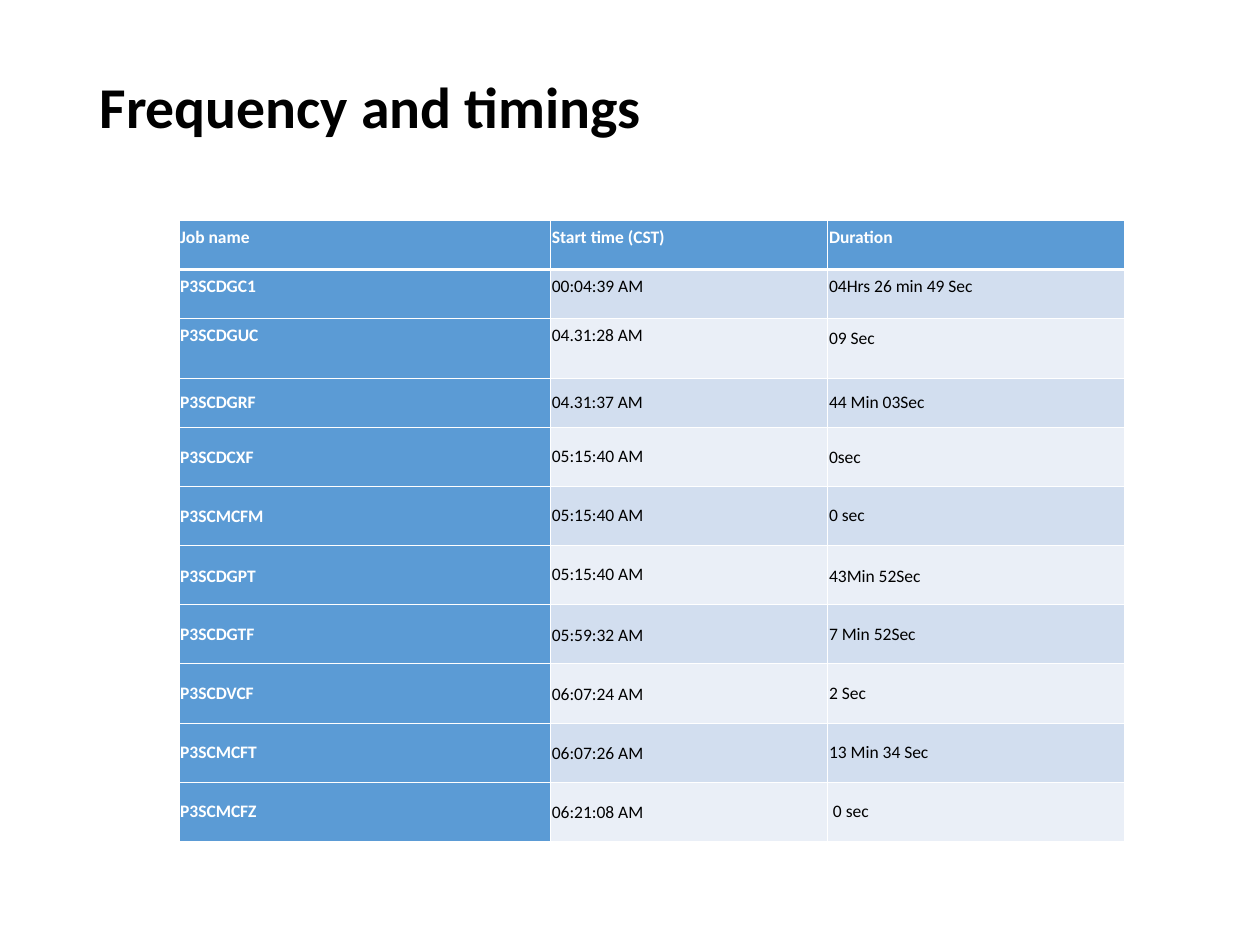
from dataclasses import dataclass

from lxml.etree import SubElement
from pptx import Presentation
from pptx.dml.color import RGBColor as Color
from pptx.enum.text import MSO_ANCHOR as Anchor, PP_ALIGN as Align
from pptx.oxml.ns import qn
from pptx.util import Inches, Pt


@dataclass(frozen=True)
class Theme:
    font: str = "Calibri"
    dark: str = "000000"
    light: str = "FFFFFF"
    accent: str = "5B9BD5"
    bands: tuple = ("EAEFF7", "D2DEEF")
    title_size: float = 33
    cell_size: float = 10
    space_size: float = 12
    thin_line: float = 0.45
    thick_line: float = 1.47


THEME = Theme()
TITLE = "Frequency and timings"
ROWS = [
    ("Job name", "Start time (CST)", "Duration"),
    ("P3SCDGC1", "00:04:39 AM", "04Hrs 26 min 49 Sec"),
    ("P3SCDGUC", "04.31:28 AM", "09 Sec "),
    ("P3SCDGRF", "04.31:37 AM", "44 Min 03Sec"),
    ("P3SCDCXF ", "05:15:40 AM", "0sec "),
    ("P3SCMCFM ", "05:15:40 AM", "0 sec"),
    ("P3SCDGPT ", "05:15:40 AM", "43Min 52Sec "),
    ("P3SCDGTF", "05:59:32 AM ", "7 Min 52Sec"),
    ("P3SCDVCF", "06:07:24 AM ", "2 Sec"),
    ("P3SCMCFT", "06:07:26 AM ", "13 Min 34 Sec"),
    ("P3SCMCFZ", "06:21:08 AM ", " 0 sec"),
]
COLUMN_WIDTHS = (2.95, 2.2, 2.35)
SHORT_ROWS = (0, 1, 3)
SHORT_HEIGHT, TALL_HEIGHT = 0.39, 0.47
TOP_ANCHORED_ROWS = 3


def add_title(slide):
    title = slide.shapes.title
    title.left, title.top = Inches(0.69), Inches(0.4)
    title.width, title.height = Inches(8.63), Inches(1.45)
    frame = title.text_frame
    frame.text = TITLE
    frame.vertical_anchor = Anchor.MIDDLE
    frame.margin_bottom = Inches(0.55)
    paragraph = frame.paragraphs[0]
    paragraph.alignment = Align.LEFT
    paragraph.line_spacing = 0.9
    style_font(paragraph.font, THEME.title_size, THEME.dark, True)


def style_font(font, size, color, bold):
    font.name, font.size, font.bold = THEME.font, Pt(size), bold
    font.color.rgb = Color.from_string(color)


def add_borders(cell, row):
    properties = cell._tc.get_or_add_tcPr()
    thick_side = {0: "lnB", 1: "lnT"}.get(row)
    for side in ("lnL", "lnR", "lnT", "lnB"):
        width = THEME.thick_line if side == thick_side else THEME.thin_line
        line = SubElement(properties, qn(f"a:{side}"), w=str(Pt(width)))
        fill = SubElement(line, qn("a:solidFill"))
        SubElement(fill, qn("a:srgbClr"), val=THEME.light)


def format_cell(cell, text, row, column):
    heading = row == 0 or column == 0
    add_borders(cell, row)
    cell.fill.solid()
    cell.fill.fore_color.rgb = Color.from_string(THEME.accent if heading else THEME.bands[row % 2])
    cell.margin_left = cell.margin_right = Inches(0.01)
    cell.margin_top = cell.margin_bottom = Inches(0.05)
    cell.vertical_anchor = Anchor.TOP if row < TOP_ANCHORED_ROWS else Anchor.MIDDLE
    paragraph = cell.text_frame.paragraphs[0]
    color = THEME.light if heading else THEME.dark
    label = text.rstrip()
    for part, size in ((label, THEME.cell_size), (text[len(label):], THEME.space_size)):
        if part:
            run = paragraph.add_run()
            run.text = part
            style_font(run.font, size, color, heading)


def add_job_table(slide):
    heights = [SHORT_HEIGHT if row in SHORT_ROWS else TALL_HEIGHT for row in range(len(ROWS))]
    table = slide.shapes.add_table(
        len(ROWS), len(COLUMN_WIDTHS), Inches(1.42), Inches(1.75),
        Inches(sum(COLUMN_WIDTHS)), Inches(sum(heights)),
    ).table
    for column, width in zip(table.columns, COLUMN_WIDTHS):
        column.width = Inches(width)
    for row, (texts, height) in enumerate(zip(ROWS, heights)):
        table.rows[row].height = Inches(height)
        for column, text in enumerate(texts):
            format_cell(table.cell(row, column), text, row, column)


def main():
    presentation = Presentation()
    presentation.slide_width, presentation.slide_height = Inches(10), Inches(7.5)
    slide = presentation.slides.add_slide(presentation.slide_layouts[5])
    add_title(slide)
    add_job_table(slide)
    presentation.save("out.pptx")


if __name__ == "__main__":
    main()
